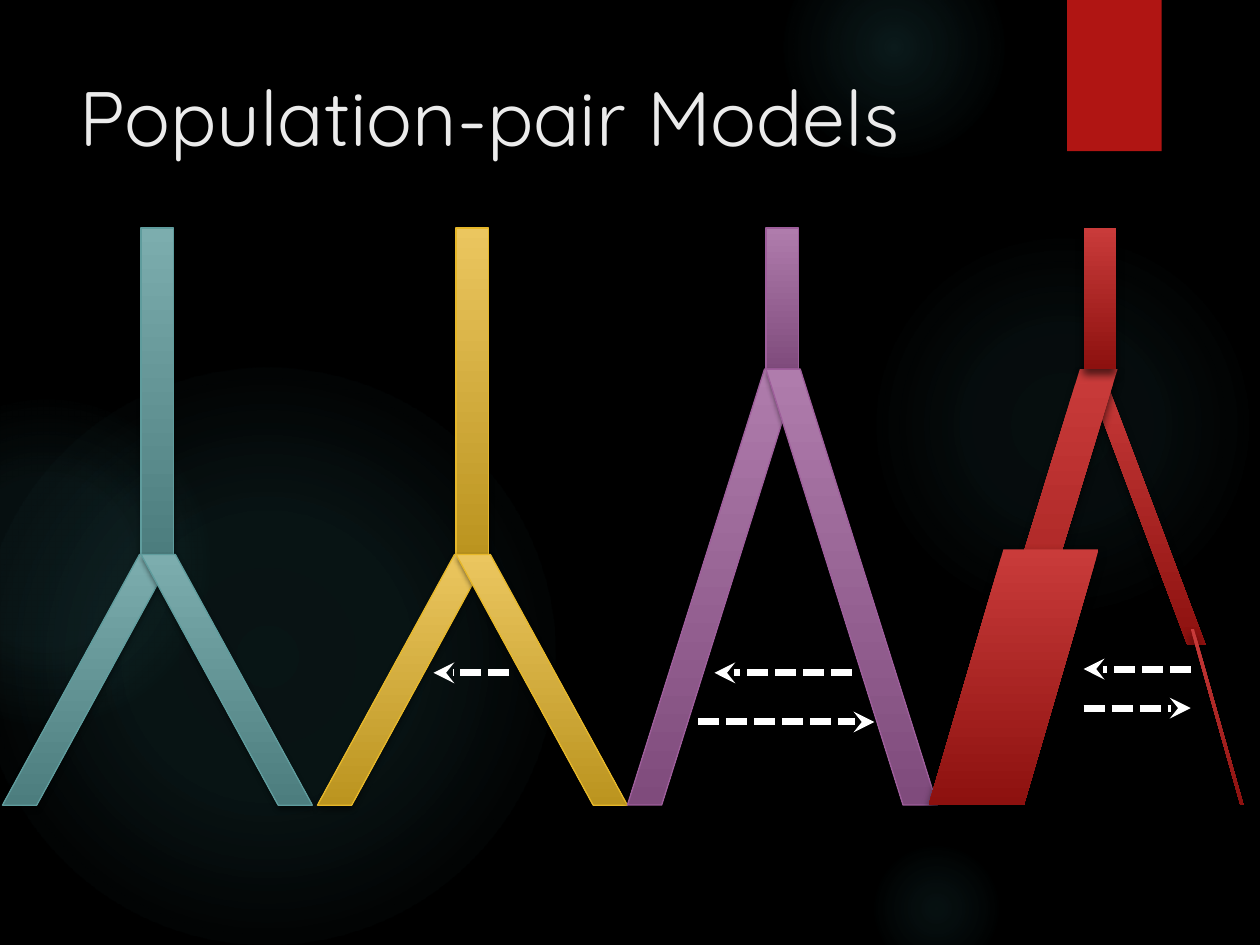
from dataclasses import dataclass

import pptx
import pptx.dml.color
import pptx.enum.dml
import pptx.enum.shapes
import pptx.enum.text
import pptx.oxml
import pptx.oxml.ns
import pptx.util

Inches = pptx.util.Inches
Pt = pptx.util.Pt
Kind = pptx.enum.shapes.MSO_SHAPE
NS = pptx.oxml.ns.nsdecls("a")
TOP, BASE, STEM, SPAN, STEP = 1.81, 6.39, 0.26, 1.36, 1.1


@dataclass
class Tone:
    high: str
    low: str
    edge: str | None = None


@dataclass
class Shade:
    alpha: int
    blur: int
    gap: int


@dataclass
class Glow:
    left: float
    top: float
    size: float
    stops: tuple[tuple[int, int], ...]


@dataclass
class Tree:
    left: float
    fork: float
    tone: Tone


@dataclass
class Limb:
    left: float
    top: float
    width: float
    height: float
    skew: float = 0
    flip: bool = False


@dataclass
class Flow:
    start: float
    end: float
    y: float


SOFT = Shade(45, 3, 2)
DEEP = Shade(60, 5, 3)
RED = Tone("C93B3A", "8D110F")

GLOWS = [
    Glow(6.89, 1.83, 3.08, ((0, 7), (36, 6), (69, 0))),
    Glow(6.22, -0.5, 1.75, ((0, 14), (36, 7), (73, 0))),
    Glow(6.89, 6.67, 1.08, ((0, 9), (36, 5), (66, 0))),
    Glow(-0.17, 2.92, 4.58, ((0, 11), (36, 10), (75, 0))),
    Glow(-0.92, 3.17, 2.58, ((0, 8), (36, 8), (72, 0))),
]
TREES = [
    Tree(0.02, 4.4, Tone("7CADAE", "4C7D7E", "5F9C9D")),
    Tree(2.52, 4.4, Tone("EBC65F", "BB941F", "E6B729")),
    Tree(4.98, 2.93, Tone("AF7CAC", "7F4B7C", "9E5E9B")),
]
REDS = [
    Limb(8.6, 2.93, 0.97, 2.19, 0.85, True),
    Limb(7.51, 2.93, SPAN, 3.46, 0.78),
    Limb(8.6, TOP, STEM, 1.12),
    Limb(9.45, 4.99, 0.42, 1.4, 0.94, True),
]
BULGE = Limb(7.37, 4.36, 1.35, 2.03, 0.44)
FLOWS = [
    Flow(5.54, 6.94, 5.73),
    Flow(4.04, 3.44, 5.34),
    Flow(6.76, 5.67, 5.34),
    Flow(9.45, 8.6, 5.31),
    Flow(8.6, 9.45, 5.62),
]


def hue(code: str):
    return pptx.dml.color.RGBColor.from_string(code)


def cast(shape, shade: Shade) -> None:
    shape.shadow.inherit = False
    box = shape.element.spPr.find(pptx.oxml.ns.qn("a:effectLst"))
    box.append(pptx.oxml.parse_xml(
        f'<a:outerShdw {NS} blurRad="{Pt(shade.blur)}" dist="{Pt(shade.gap)}"'
        ' dir="5400000" algn="ctr" rotWithShape="0"><a:srgbClr val="000000">'
        f'<a:alpha val="{shade.alpha * 1000}"/></a:srgbClr></a:outerShdw>'))


def draw_glow(slide, glow: Glow) -> None:
    size = Inches(glow.size)
    disc = slide.shapes.add_shape(
        Kind.OVAL, Inches(glow.left), Inches(glow.top), size, size)
    disc.shadow.inherit = False
    disc.line.fill.background()
    disc.fill.gradient()
    stops = "".join(
        f'<a:gs pos="{pos * 1000}"><a:srgbClr val="50B9C1">'
        f'<a:alpha val="{alpha * 1000}"/></a:srgbClr></a:gs>'
        for pos, alpha in glow.stops)
    props = disc.element.spPr
    props.replace(props.find(pptx.oxml.ns.qn("a:gradFill")), pptx.oxml.parse_xml(
        f'<a:gradFill {NS}><a:gsLst>{stops}</a:gsLst><a:path path="circle">'
        '<a:fillToRect l="50000" t="50000" r="50000" b="50000"/></a:path>'
        '</a:gradFill>'))


def draw_limb(slide, limb: Limb, tone: Tone, shade: Shade) -> None:
    kind = Kind.PARALLELOGRAM if limb.skew else Kind.RECTANGLE
    shape = slide.shapes.add_shape(
        kind, Inches(limb.left), Inches(limb.top),
        Inches(limb.width), Inches(limb.height))
    if limb.skew:
        shape.adjustments[0] = limb.skew
    if limb.flip:
        shape.element.spPr.xfrm.set("flipH", "1")
    shape.fill.gradient()
    shape.fill.gradient_angle = 270
    for stop, code in zip(shape.fill.gradient_stops, (tone.high, tone.low)):
        stop.color.rgb = hue(code)
    if tone.edge:
        shape.line.color.rgb = hue(tone.edge)
        shape.line.width = Pt(0.75)
    else:
        shape.line.fill.background()
    cast(shape, shade)


def draw_tree(slide, tree: Tree) -> None:
    mid, drop = tree.left + STEP, BASE - tree.fork
    for limb in (
        Limb(mid, TOP, STEM, tree.fork - TOP + 0.01),
        Limb(tree.left, tree.fork, SPAN, drop, 0.8),
        Limb(mid, tree.fork, SPAN, drop, 0.8, True),
    ):
        draw_limb(slide, limb, tree.tone, SOFT)


def draw_flow(slide, flow: Flow) -> None:
    line = slide.shapes.add_connector(
        pptx.enum.shapes.MSO_CONNECTOR.STRAIGHT, Inches(flow.start),
        Inches(flow.y), Inches(flow.end), Inches(flow.y))
    line.line.color.rgb = hue("FFFFFF")
    line.line.width = Pt(4)
    line.line.dash_style = pptx.enum.dml.MSO_LINE.SQUARE_DOT
    line.line._ln.find(pptx.oxml.ns.qn("a:prstDash")).set("val", "sysDash")
    line.line._ln.append(pptx.oxml.parse_xml(f'<a:tailEnd {NS} type="stealth"/>'))
    line.element.spPr.append(pptx.oxml.parse_xml(f"<a:effectLst {NS}/>"))


def draw_title(slide) -> None:
    box = slide.shapes.add_textbox(
        Inches(0.53), Inches(0.5), Inches(7.72), Inches(1.53))
    frame = box.text_frame
    frame.word_wrap = True
    frame.vertical_anchor = pptx.enum.text.MSO_ANCHOR.TOP
    frame.text = "Population-pair Models"
    font = frame.paragraphs[0].runs[0].font
    font.name = "Quicksand"
    font.size = Pt(44)
    font.color.rgb = hue("EBEBEB")


def main() -> None:
    deck = pptx.Presentation()
    deck.slide_width, deck.slide_height = Inches(10), Inches(7.5)
    slide = deck.slides.add_slide(deck.slide_layouts[6])
    slide.background.fill.solid()
    slide.background.fill.fore_color.rgb = hue("000000")
    for glow in GLOWS:
        draw_glow(slide, glow)
    tab = slide.shapes.add_shape(
        Kind.RECTANGLE, Inches(8.47), 0, Inches(0.75), Inches(1.2))
    tab.fill.solid()
    tab.fill.fore_color.rgb = hue("B01513")
    tab.line.fill.background()
    cast(tab, SOFT)
    for tree in TREES:
        draw_tree(slide, tree)
    for limb in REDS:
        draw_limb(slide, limb, RED, DEEP)
    for flow in FLOWS:
        draw_flow(slide, flow)
    draw_limb(slide, BULGE, RED, DEEP)
    draw_title(slide)
    deck.save("out.pptx")


if __name__ == "__main__":
    main()
